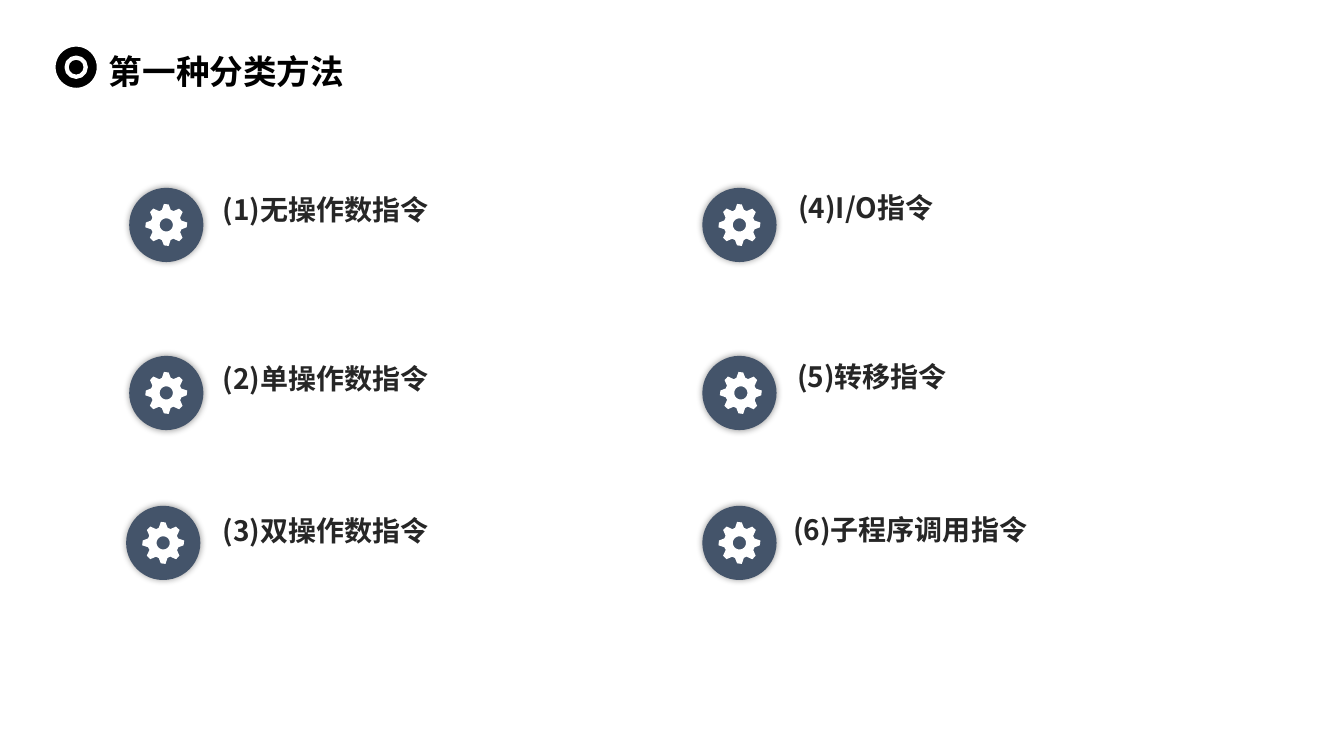
from dataclasses import dataclass
from math import cos, pi, sin
from lxml.etree import SubElement
from pptx import Presentation
from pptx.dml.color import RGBColor
from pptx.enum.shapes import MSO_SHAPE
from pptx.enum.text import MSO_ANCHOR, MSO_AUTO_SIZE, PP_ALIGN
from pptx.oxml.ns import qn
from pptx.util import Pt


@dataclass(frozen=True)
class Theme:
    font: str = "Noto Sans CJK SC"
    black: RGBColor = RGBColor(0, 0, 0)
    white: RGBColor = RGBColor(255, 255, 255)
    slate: RGBColor = RGBColor(0x44, 0x54, 0x6A)
    body: RGBColor = RGBColor(0x26, 0x26, 0x26)
    title_size: int = 24
    label_size: int = 20


theme = Theme()


def write(tf, text, *, size, color, anchor=MSO_ANCHOR.TOP, autofit=MSO_AUTO_SIZE.NONE, spacing=None):
    tf.word_wrap = True
    tf.auto_size = autofit
    tf.vertical_anchor = anchor
    p = tf.paragraphs[0]
    p.alignment = PP_ALIGN.LEFT
    p.line_spacing = spacing
    r = p.add_run()
    r.text = text
    r.font.name = theme.font
    r.font.size = Pt(size)
    r.font.bold = True
    r.font.color.rgb = color
    SubElement(r.font._element, qn("a:ea"), typeface=theme.font)


def circle(cx, cy, diameter, fill):
    s = slide.shapes.add_shape(
        MSO_SHAPE.OVAL, Pt(cx - diameter / 2), Pt(cy - diameter / 2), Pt(diameter), Pt(diameter))
    s.shadow.inherit = False
    s.fill.solid()
    s.fill.fore_color.rgb = fill
    s.line.fill.background()
    return s


prs = Presentation()
prs.slide_width, prs.slide_height = Pt(960), Pt(540)
slide = prs.slides.add_slide(prs.slide_layouts[5])

title = slide.shapes.title
title.left, title.top, title.width, title.height = Pt(70.6), Pt(23), Pt(869), Pt(50.4)
write(title.text_frame, "第一种分类方法", size=theme.title_size, color=theme.black,
      anchor=MSO_ANCHOR.MIDDLE, spacing=1.2)

for diameter in (32.4, 13.7):
    s = circle(54.4, 48, diameter, theme.black)
    s.line.color.rgb = theme.white
    s.line.width = Pt(3)

tooth = [(15, -1.7), (10.8, -3.1), (9.8, -5), (11.7, -9.2),
         (9.2, -11.6), (5.2, -9.9), (3.2, -10.8), (1.7, -14.6)]
gear = []
for quarter in range(4):
    gear += tooth
    tooth = [(y, -x) for x, y in tooth]
hole = [(4.7 * cos(2 * pi * i / 32), 4.7 * sin(2 * pi * i / 32)) for i in range(32)]

items = [
    ("(1)无操作数指令", 118.8, 160.7, 0, 151.9, 133.9, 323),
    ("(2)单操作数指令", 118.8, 280.7, 0, 151.9, 254.9, 328),
    ("(3)双操作数指令", 116.6, 387.8, 0, 151.9, 363.6, 323),
    ("(4)I/O指令", 528.2, 160.7, 0, 563, 132.5, 298),
    ("(5)转移指令", 528.2, 280.7, 1, 562.3, 253.4, 299),
    ("(6)子程序调用指令", 528.2, 387.8, 0, 559.4, 362.2, 300),
]
for text, cx, cy, gear_shift, left, top, width in items:
    s = circle(cx, cy, 53, theme.slate)
    effects = s._element.spPr.find(qn("a:effectLst"))
    shadow = SubElement(effects, qn("a:outerShdw"), blurRad=str(Pt(5)), dist="0", dir="0",
                        algn="ctr", rotWithShape="0")
    black = SubElement(shadow, qn("a:srgbClr"), val=str(theme.black))
    SubElement(black, qn("a:alpha"), val="40000")

    outline, inner = [[(Pt(cx + gear_shift + x), Pt(cy + y)) for x, y in ring] for ring in (gear, hole)]
    fb = slide.shapes.build_freeform(*outline[0])
    fb.add_line_segments(outline[1:])
    fb.move_to(*inner[0])
    fb.add_line_segments(inner[1:])
    s = fb.convert_to_shape()
    s.shadow.inherit = False
    s.fill.solid()
    s.fill.fore_color.rgb = theme.white
    s.line.fill.background()

    s = slide.shapes.add_textbox(Pt(left), Pt(top), Pt(width), Pt(31.7))
    write(s.text_frame, text, size=theme.label_size, color=theme.body,
          autofit=MSO_AUTO_SIZE.SHAPE_TO_FIT_TEXT)

prs.save("out.pptx")
